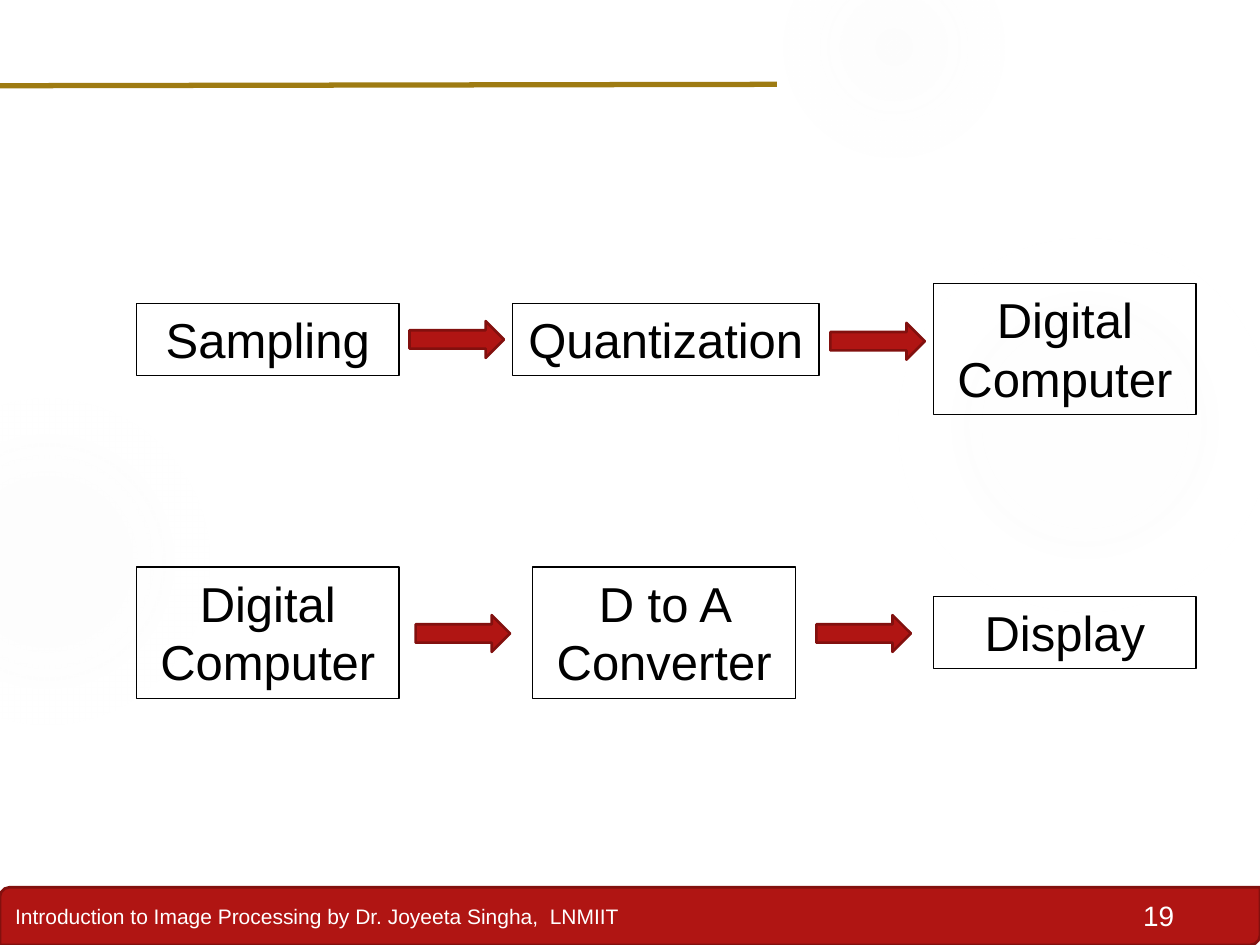
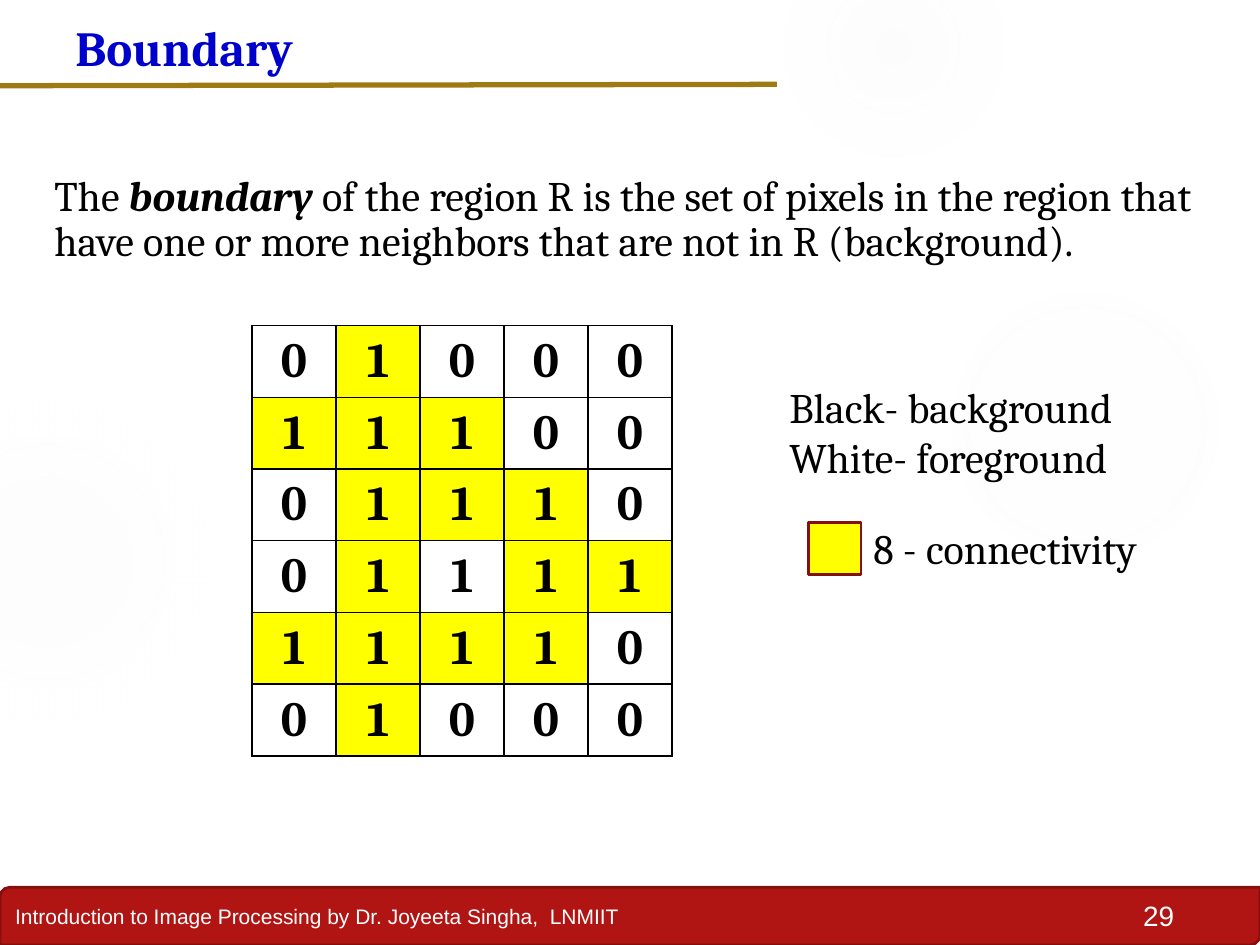
from pptx import Presentation
from pptx.dml.color import RGBColor
from pptx.enum.shapes import MSO_CONNECTOR as Link, MSO_SHAPE as Kind
from pptx.enum.text import MSO_ANCHOR as Anchor, PP_ALIGN as Align
from pptx.oxml import parse_xml
from pptx.oxml.ns import nsdecls, qn
from pptx.util import Pt

RED = RGBColor(0xB0, 0x15, 0x13)
MAROON = RGBColor(0x82, 0x10, 0x0E)
GOLD = RGBColor(0x9E, 0x7B, 0x12)
BLUE = RGBColor(0x00, 0x00, 0xCC)
YELLOW = RGBColor(0xFF, 0xFF, 0x00)
BLACK = RGBColor(0x00, 0x00, 0x00)
WHITE = RGBColor(0xFF, 0xFF, 0xFF)
MIST = RGBColor(0xF3, 0xF3, 0xF3)

SANS, SERIF = "Arial", "Cambria"
WIDE, HIGH = 720, 540
FOOTER = "Introduction to Image Processing by Dr. Joyeeta Singha,  LNMIIT"

# Left, top, size, then (position, opacity) stops in percent
GLOWS = [
    (509, 132, 222, [(0, 7), (36, 6), (69, 0)]),
    (448, -36, 126, [(0, 14), (36, 7), (73, 0)]),
    (-66, 228, 186, [(0, 8), (36, 8), (72, 0)]),
]

# Steps: text, left, top, width, height; arrows: left, top (within the row)
INPUT = [("Sampling", 0, 11.5, 150, 41), ("Quantization", 215, 11.5, 175, 41),
         ("Digital Computer", 455.5, 0, 150, 75)]
OUTPUT = [("Digital Computer", 0, 0, 150, 75), ("D to A Converter", 226.5, 0, 150, 75),
          ("Display", 455.5, 17, 150, 41)]

# Pixel values; a star marks a boundary pixel
REGION = [
    "0 1* 0 0 0",
    "1* 1* 1* 0 0",
    "0 1* 1* 1* 0",
    "0 1* 1 1* 1*",
    "1* 1* 1* 1* 0",
    "0 1* 0 0 0",
]


def style(par, size, color=BLACK, face=SANS, bold=False, align=Align.LEFT):
    par.alignment = align
    for run in par.runs:
        font = run.font
        font.name, font.size, font.bold = face, Pt(size), bold
        font.color.rgb = color


def add_box(slide, kind, box, fill=None, line=None, weight=1.5):
    shape = slide.shapes.add_shape(kind, *map(Pt, box))
    shape.shadow.inherit = False
    if fill is None:
        shape.fill.background()
    else:
        shape.fill.solid()
        shape.fill.fore_color.rgb = fill
    if line is None:
        shape.line.fill.background()
    else:
        shape.line.color.rgb = line
        shape.line.width = Pt(weight)
    return shape


def add_text(slide, box, text, size, **looks):
    frame = slide.shapes.add_textbox(*map(Pt, box)).text_frame
    frame.word_wrap = True
    frame.text = text
    for par in frame.paragraphs:
        style(par, size, **looks)
    return frame


def add_glow(slide, left, top, size, stops):
    shape = add_box(slide, Kind.OVAL, (left, top, size, size))
    marks = "".join(
        f'<a:gs pos="{pos * 1000}"><a:srgbClr val="{MIST}">'
        f'<a:alpha val="{alpha * 1000}"/></a:srgbClr></a:gs>' for pos, alpha in stops)
    grad = parse_xml(
        f'<a:gradFill {nsdecls("a")}><a:gsLst>{marks}</a:gsLst><a:path path="circle">'
        '<a:fillToRect l="50000" t="50000" r="50000" b="50000"/></a:path></a:gradFill>')
    props = shape.element.spPr
    props.replace(props.find(qn("a:noFill")), grad)


def add_frame(deck, number):
    """Blank slide with the shared footer, glows and title rule."""
    slide = deck.slides.add_slide(deck.slide_layouts[6])

    # Footer band
    band = add_box(slide, Kind.ROUND_2_DIAG_RECTANGLE, (0, 507, WIDE, 33), RED, MAROON)
    band.text_frame.text = FOOTER
    band.text_frame.vertical_anchor = Anchor.MIDDLE
    style(band.text_frame.paragraphs[0], 12, WHITE)

    for glow in GLOWS:
        add_glow(slide, *glow)

    # Page number and title rule
    add_text(slide, (624, 510, 54, 27), str(number), 16, color=WHITE, align=Align.RIGHT)
    rule = slide.shapes.add_connector(Link.STRAIGHT, Pt(-1.5), Pt(49), Pt(444), Pt(48.2))
    rule.line.color.rgb = GOLD
    rule.line.width = Pt(3)
    rule.element.spPr.append(parse_xml(f'<a:effectLst {nsdecls("a")}/>'))
    return slide


def add_flow(slide, left, top, steps, arrows):
    for text, x, y, wide, high in steps:
        box = add_box(slide, Kind.RECTANGLE, (left + x, top + y, wide, high), None, BLACK, 0.75)
        frame = box.text_frame
        frame.word_wrap = True
        frame.vertical_anchor = Anchor.TOP
        frame.text = text
        style(frame.paragraphs[0], 28, align=Align.CENTER)
    for x, y in arrows:
        add_box(slide, Kind.RIGHT_ARROW, (left + x, top + y, 54, 21), RED, MAROON)


def add_edges(cell):
    props = cell._tc.get_or_add_tcPr()
    for spot, side in enumerate("LRTB"):
        props.insert(spot, parse_xml(
            f'<a:ln{side} {nsdecls("a")} w="{Pt(1)}"><a:solidFill>'
            f'<a:srgbClr val="{BLACK}"/></a:solidFill></a:ln{side}>'))


def add_grid(slide, box, rows):
    cells = [row.split() for row in rows]
    down, across = len(cells), len(cells[0])
    table = slide.shapes.add_table(down, across, *map(Pt, box)).table
    table.first_row = table.horz_banding = False
    for row in table.rows:
        row.height = Pt(box[3] / down)
    for col in table.columns:
        col.width = Pt(box[2] / across)
    for r, row in enumerate(cells):
        for c, mark in enumerate(row):
            cell = table.cell(r, c)
            cell.text = mark[0]
            cell.vertical_anchor = Anchor.MIDDLE
            style(cell.text_frame.paragraphs[0], 28, face=SERIF, bold=True, align=Align.CENTER)
            if mark.endswith("*"):
                cell.fill.solid()
                cell.fill.fore_color.rgb = YELLOW
            else:
                cell.fill.background()
            add_edges(cell)


def add_key(slide, left, top):
    add_text(slide, (left, top, 228, 94), "Black- background\nWhite- foreground", 24, face=SERIF)
    add_box(slide, Kind.RECTANGLE, (left + 18, top + 84, 30, 30), YELLOW, MAROON)
    add_text(slide, (left + 48, top + 80.5, 186, 36), "8 - connectivity", 24, face=SERIF)


def add_claim(slide, box):
    frame = add_text(slide, box, "", 24)
    par = frame.paragraphs[0]
    par.line_spacing = 0.9
    for text in ("The ", "boundary ",
                 "of the region R is the set of pixels in the region that have one or more "
                 "neighbors that are not in R (background)."):
        par.add_run().text = text
    style(par, 24, face=SERIF)
    term = par.runs[1].font
    term.bold = term.italic = True


def build_flows(deck):
    slide = add_frame(deck, 19)
    add_flow(slide, 78, 162, INPUT, [(156, 21.5), (396.5, 22.5)])
    add_flow(slide, 78, 324, OUTPUT, [(159.5, 27.5), (388.5, 27.5)])


def build_region(deck):
    slide = add_frame(deck, 29)
    add_grid(slide, (144, 186, 240, 246), REGION)
    add_key(slide, 444, 214.5)
    add_claim(slide, (24, 96.5, 684, 60))
    add_text(slide, (36, 6.5, 282, 41), "Boundary", 28, color=BLUE, face=SERIF, bold=True)


def main():
    deck = Presentation()
    deck.slide_width, deck.slide_height = Pt(WIDE), Pt(HIGH)
    build_flows(deck)
    build_region(deck)
    deck.save("out.pptx")


if __name__ == "__main__":
    main()
